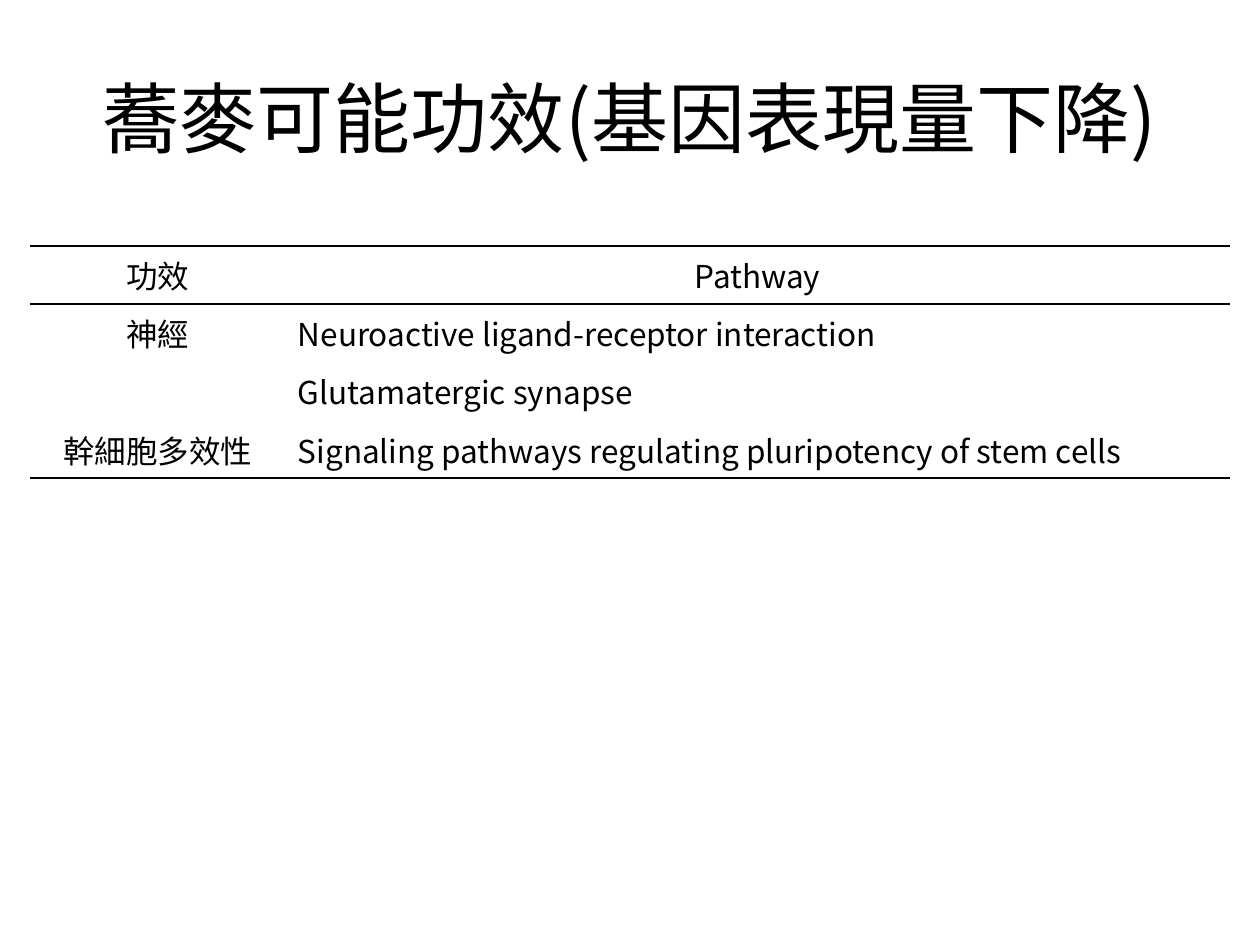
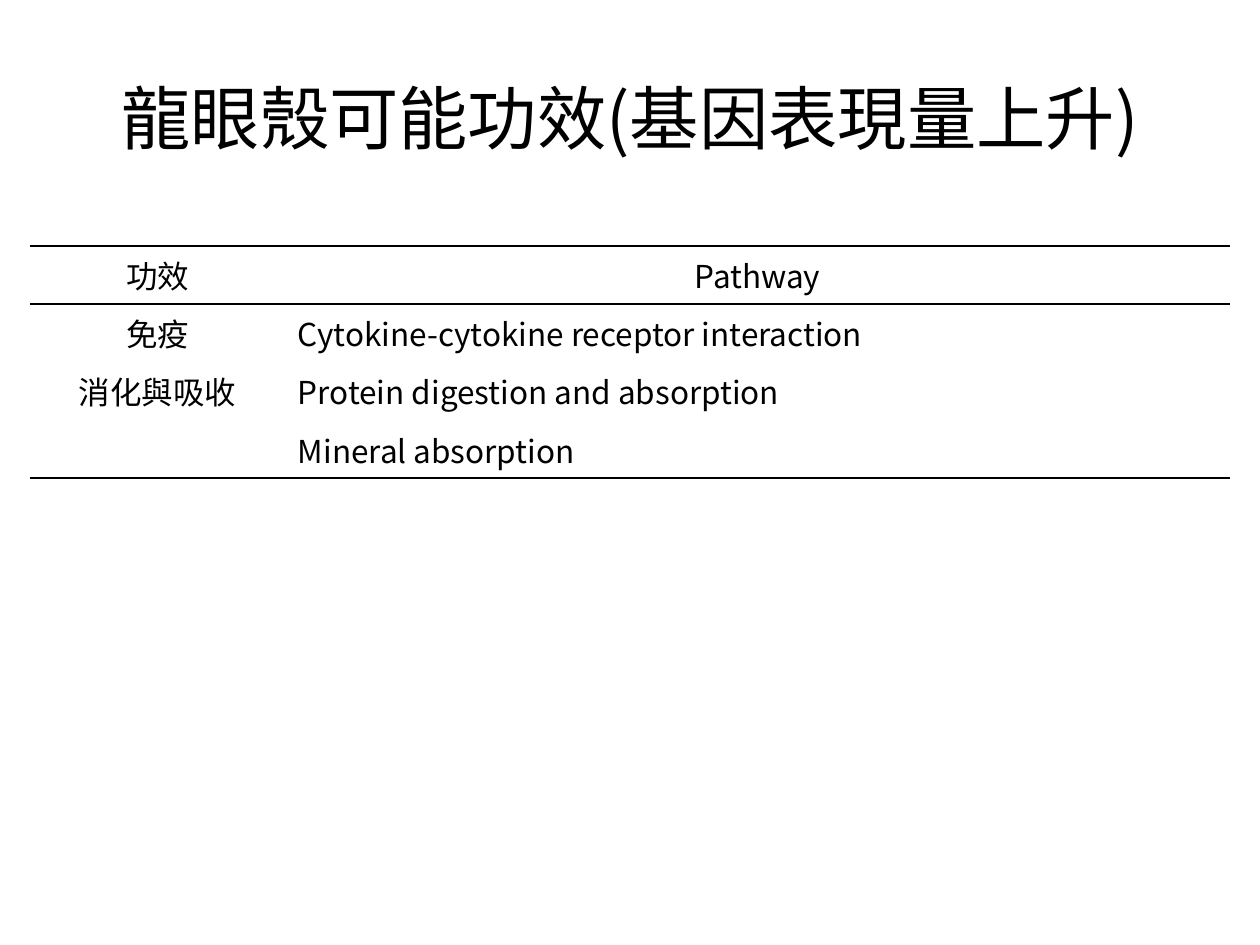
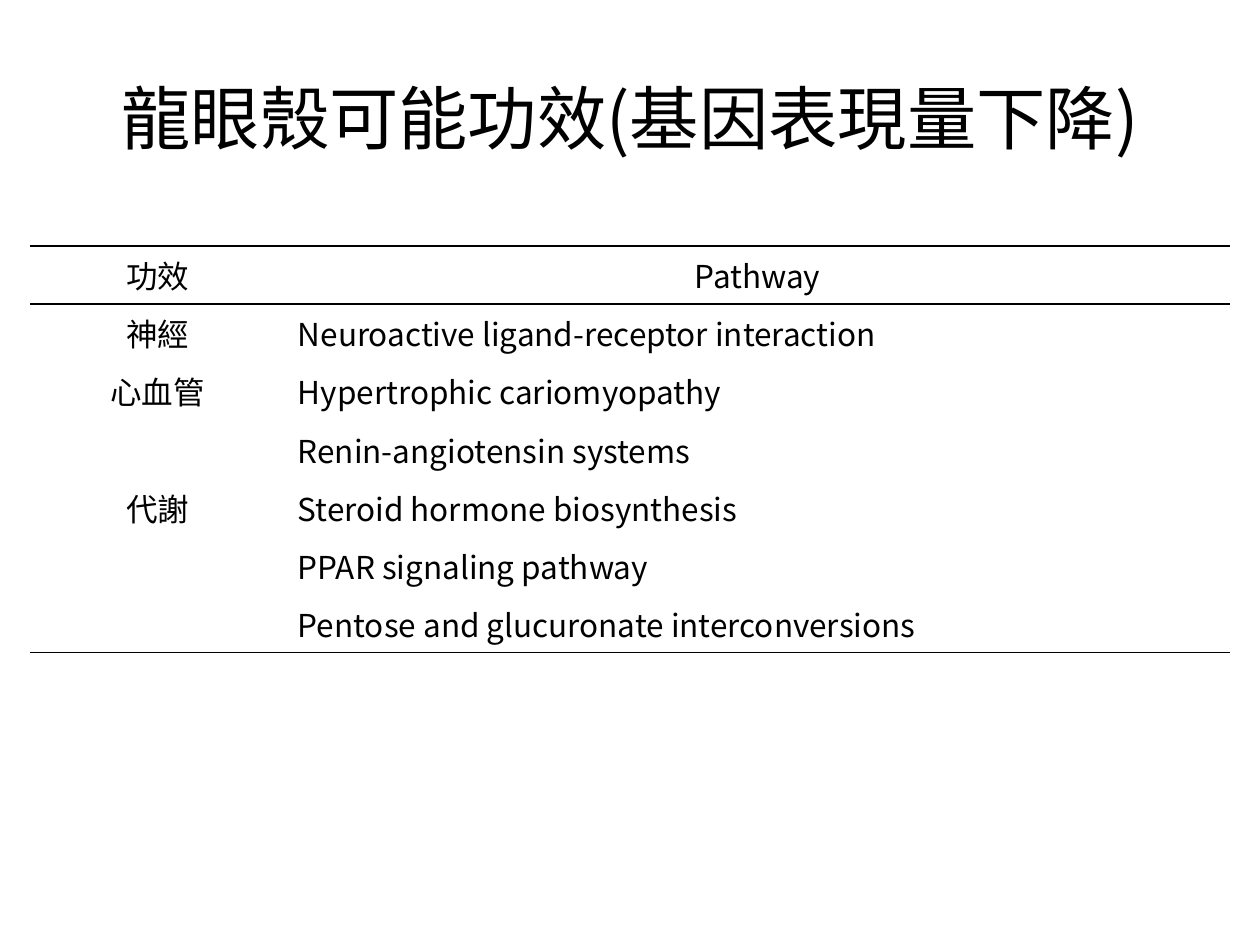
"""Build three slides of likely health effects and their pathways."""
import lxml.etree
import pptx
import pptx.dml.color
import pptx.enum.text
import pptx.oxml.ns
import pptx.util

Cm = pptx.util.Cm
Pt = pptx.util.Pt
ALIGN = pptx.enum.text.PP_ALIGN
MIDDLE = pptx.enum.text.MSO_ANCHOR.MIDDLE
qn = pptx.oxml.ns.qn

FACE = "Noto Sans CJK SC"
INK = "000000"
COLS = (5.15, 19.04)
ROW = 1.17
HEAD = ("功效", "Pathway")

SLIDES = (
    ("蕎麥可能功效(基因表現量下降)", 44, (
        ("神經", "Neuroactive ligand-receptor interaction"),
        ("", "Glutamatergic synapse"),
        ("幹細胞多效性", "Signaling pathways regulating pluripotency of stem cells"),
    )),
    ("龍眼殼可能功效(基因表現量上升)", 39.6, (
        ("免疫", "Cytokine-cytokine receptor interaction"),
        ("消化與吸收", "Protein digestion and absorption"),
        ("", "Mineral absorption"),
    )),
    ("龍眼殼可能功效(基因表現量下降)", 39.6, (
        ("神經", "Neuroactive ligand-receptor interaction"),
        ("心血管", "Hypertrophic cariomyopathy"),
        ("", "Renin-angiotensin systems"),
        ("代謝", "Steroid hormone biosynthesis"),
        ("", "PPAR signaling pathway"),
        ("", "Pentose and glucuronate interconversions"),
    )),
)


def color(code):
    """Turn a hex string into a colour."""
    return pptx.dml.color.RGBColor.from_string(code)


def assign(item, values):
    """Set each named attribute on an item."""
    for name, value in values.items():
        setattr(item, name, value)


def write(frame, text, size, align):
    """Fill a text frame with one styled paragraph."""
    para = frame.paragraphs[0]
    para.alignment = align
    run = para.add_run()
    run.text = text
    assign(run.font, {"name": FACE, "size": Pt(size)})
    run.font.color.rgb = color(INK)
    east = lxml.etree.SubElement(run._r.get_or_add_rPr(), qn("a:ea"))
    east.set("typeface", FACE)


def add_title(slide, text, size):
    """Add the centred slide title."""
    box = slide.shapes.add_textbox(Cm(1.27), Cm(0.76), Cm(22.86), Cm(3.18))
    assign(box.text_frame, {"word_wrap": True, "vertical_anchor": MIDDLE})
    write(box.text_frame, text, size, ALIGN.CENTER)


def rule(cell, drawn):
    """Draw the named cell edges and clear the others."""
    props = cell._tc.get_or_add_tcPr()
    for spot, side in enumerate("LRTB"):
        line = lxml.etree.Element(qn("a:ln" + side))
        if side in drawn:
            line.set("w", str(Pt(1)))
            fill = lxml.etree.SubElement(line, qn("a:solidFill"))
            lxml.etree.SubElement(fill, qn("a:srgbClr")).set("val", INK)
        else:
            lxml.etree.SubElement(line, qn("a:noFill"))
        props.insert(spot, line)


def add_grid(slide, body):
    """Add a table ruled above, below and under its heading."""
    rows = (HEAD,) + body
    last = len(rows) - 1
    frame = slide.shapes.add_table(len(rows), len(COLS), Cm(0.6), Cm(4.96),
                                   Cm(sum(COLS)), Cm(ROW * len(rows)))
    table = frame.table
    assign(table, {"first_row": False, "horz_banding": False})
    for col, width in zip(table.columns, COLS):
        col.width = Cm(width)
    for r, texts in enumerate(rows):
        table.rows[r].height = Cm(ROW)
        edges = {0: "TB", 1: "T", last: "B"}.get(r, "")
        for c, text in enumerate(texts):
            cell = table.cell(r, c)
            cell.vertical_anchor = MIDDLE
            cell.fill.background()
            rule(cell, edges)
            if text:
                mid = r == 0 or c == 0
                write(cell.text_frame, text, 18, ALIGN.CENTER if mid else ALIGN.LEFT)


def main():
    """Build and save the deck."""
    deck = pptx.Presentation()
    assign(deck, {"slide_width": Cm(25.4), "slide_height": Cm(19.05)})
    for title, size, body in SLIDES:
        slide = deck.slides.add_slide(deck.slide_layouts[6])
        add_title(slide, title, size)
        add_grid(slide, body)
    deck.save("out.pptx")


if __name__ == "__main__":
    main()
